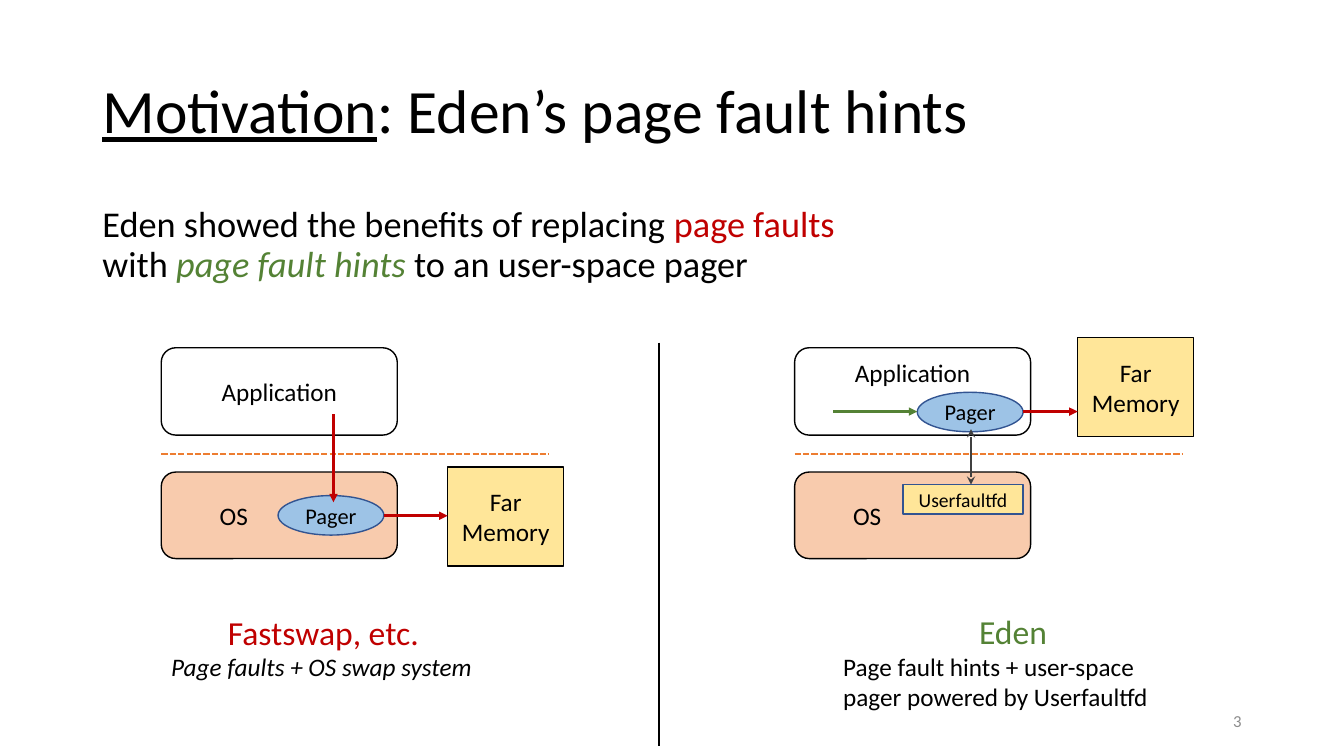
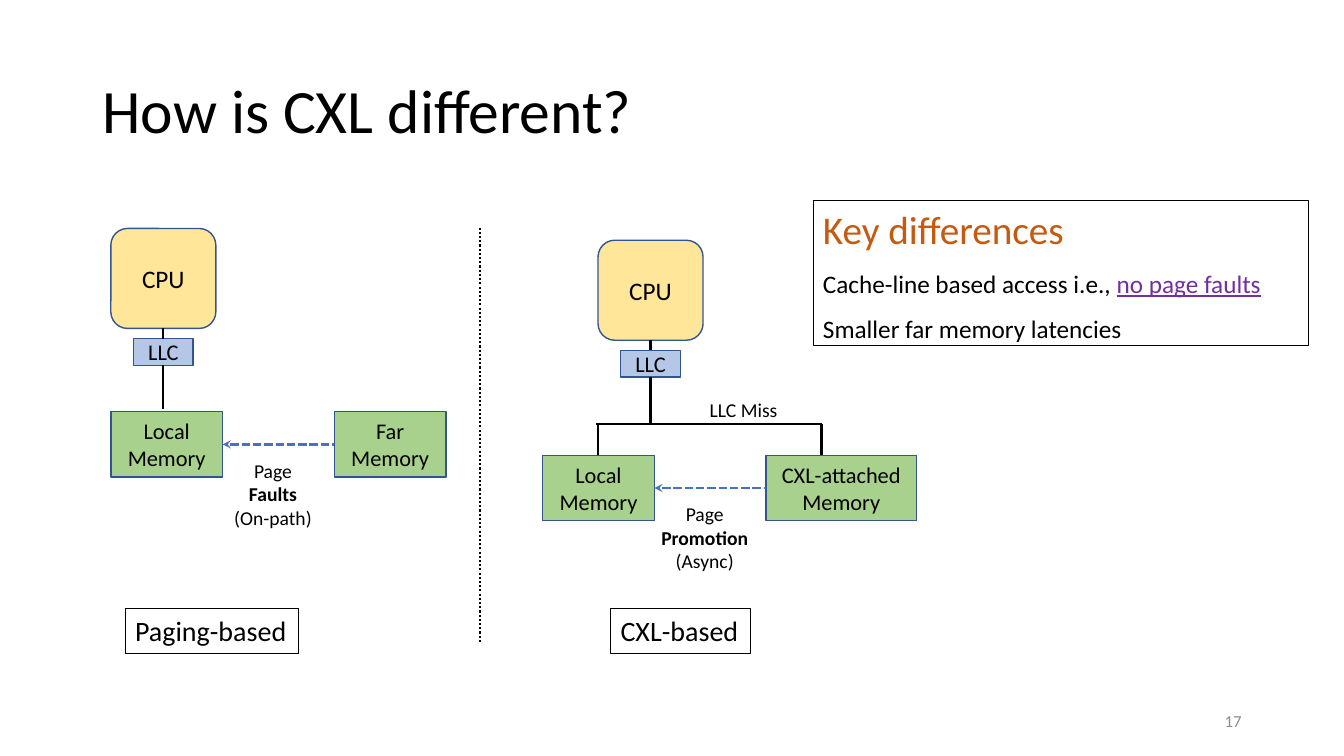
from lxml import etree
from pptx import Presentation
from pptx.dml.color import RGBColor
from pptx.enum.dml import MSO_LINE
from pptx.enum.shapes import MSO_CONNECTOR, MSO_SHAPE
from pptx.enum.text import MSO_ANCHOR, MSO_AUTO_SIZE, PP_ALIGN
from pptx.oxml.ns import qn
from pptx.util import Inches, Pt

RECT, ROUND, OVAL = MSO_SHAPE.RECTANGLE, MSO_SHAPE.ROUNDED_RECTANGLE, MSO_SHAPE.OVAL
LEFT, CENTER, RIGHT = PP_ALIGN.LEFT, PP_ALIGN.CENTER, PP_ALIGN.RIGHT
TOP, MIDDLE = MSO_ANCHOR.TOP, MSO_ANCHOR.MIDDLE
DASH, DOT = MSO_LINE.SQUARE_DOT, MSO_LINE.ROUND_DOT

COLS, ROWS = 160, 90
CELL = Inches(1) / 12
FONT = "Calibri"
COLORS = {
    "black": "000000", "white": "FFFFFF", "gray": "8C8C8C", "dark": "404040",
    "red": "C00000", "green": "548235", "orange": "ED7D31", "rust": "C55A11",
    "purple": "7030A0", "blue": "4472C4", "navy": "325491", "sky": "9DC3E6",
    "peach": "F8CBAD", "yellow": "FFE699", "cache": "B4C7E7", "memory": "A9D18E",
}


def grid(*cells):
    return [round(c * CELL) for c in cells]


def rgb(name):
    return RGBColor.from_string(COLORS[name])


def run(text, size, color="black", style=""):
    return text, size, color, style


def para(*runs, align=LEFT, spacing=None):
    return runs, align, spacing


def write(tf, paras, anchor=TOP, wrap=True):
    tf.word_wrap = wrap
    tf.auto_size = MSO_AUTO_SIZE.NONE
    tf.vertical_anchor = anchor
    for i, (runs, align, spacing) in enumerate(paras):
        p = tf.add_paragraph() if i else tf.paragraphs[0]
        p.alignment = align
        p.space_before = Pt(0)
        if spacing:
            p.line_spacing = spacing
        for text, size, color, style in runs:
            r = p.add_run()
            r.text = text
            f = r.font
            f.name, f.size = FONT, Pt(size)
            f.color.rgb = rgb(color)
            f.bold, f.italic, f.underline = (c in style for c in "biu")


def place(sp, x, y, w, h):
    sp.left, sp.top, sp.width, sp.height = grid(x, y, w, h)


def text_box(s, at, paras, anchor=TOP, wrap=True):
    sp = s.shapes.add_textbox(*grid(*at))
    write(sp.text_frame, paras, anchor, wrap)


def box(s, kind, at, paras, fill=None, line="navy", width=1, anchor=MIDDLE, wrap=True):
    sp = s.shapes.add_shape(kind, *grid(*at))
    sp.shadow.inherit = False
    if fill:
        sp.fill.solid()
        sp.fill.fore_color.rgb = rgb(fill)
    else:
        sp.fill.background()
    sp.line.color.rgb = rgb(line)
    sp.line.width = Pt(width)
    write(sp.text_frame, paras, anchor, wrap)
    return sp


def label_box(s, kind, at, text, size, fill, line="navy", anchor=MIDDLE):
    return box(s, kind, at, [para(run(text, size), align=CENTER)], fill, line, anchor=anchor)


def line(s, x1, y1, x2, y2, color="black", width=1.5, dash=None, head=None, tail=None):
    c = s.shapes.add_connector(MSO_CONNECTOR.STRAIGHT, *grid(x1, y1, x2, y2))
    c.line.color.rgb = rgb(color)
    c.line.width = Pt(width)
    if dash:
        c.line.dash_style = dash
    ln = c.line._get_or_add_ln()
    for tag, end in (("a:headEnd", head), ("a:tailEnd", tail)):
        if end:
            etree.SubElement(ln, qn(tag)).set("type", end)
    etree.SubElement(c._element.spPr, qn("a:effectLst"))


def arrow(s, x1, y1, x2, y2, color):
    line(s, x1, y1, x2, y2, color, 2, tail="triangle")


def base_slide(prs, layout, title, number):
    s = prs.slides.add_slide(prs.slide_layouts[layout])
    place(s.shapes.title, 11, 4.8, 138, 17.4)
    write(s.shapes.title.text_frame, [para(*title, spacing=0.9)], MIDDLE)
    text_box(s, (113, 83.4, 36, 4.8),
             [para(run(number, 12, "gray"), align=RIGHT)], MIDDLE)
    return s


def lead(s, *runs):
    sp = s.placeholders[1]
    place(sp, 11, 24, 90.7, 11.5)
    pPr = sp.text_frame.paragraphs[0]._p.get_or_add_pPr()
    pPr.set("marL", "0")
    pPr.set("indent", "0")
    etree.SubElement(pPr, qn("a:buNone"))
    write(sp.text_frame, [para(*runs, spacing=0.9)])


def host(s, x, app_anchor):
    label_box(s, ROUND, (x, 41.4, 28.1, 10.4), "Application", 18, "white", "black", app_anchor)
    os_box = label_box(s, ROUND, (x, 56.2, 28.1, 10.3), "OS", 18, "peach", "black")
    os_box.text_frame.margin_right = Inches(1)
    line(s, x, 54, x + 46.2, 54, "orange", 1.5, DASH)


def far_memory(s, x, y):
    label_box(s, RECT, (x, y, 13.8, 11.8), "Far Memory", 18, "yellow", "black")


def pager(s, x, y):
    label_box(s, OVAL, (x, y, 12.6, 4.7), "Pager", 16, "sky")


def caption(s, at, name, color, detail, style="", wrap=True):
    text_box(s, at, [para(run(name, 24, color), align=CENTER),
                     para(run(detail, 18, style=style))], wrap=wrap)


def cpu_stack(s, x, y, end):
    mid = x + 6.25
    label_box(s, ROUND, (x, y, 12.5, 11.9), "CPU", 18, "yellow")
    label_box(s, RECT, (mid - 3.55, y + 13.1, 7.1, 3.2), "LLC", 16, "cache")
    line(s, mid, y + 11.9, mid, y + 13.1)
    line(s, mid, y + 16.3, mid, end)


def memory_pair(s, x, y, far, far_w, action, mode):
    near_w, gap, h = 13.3, 13.3, 7.8
    far_x = x + near_w + gap
    label_box(s, RECT, (x, y, near_w, h), "Local Memory", 16, "memory")
    label_box(s, RECT, (far_x, y, far_w, h), far, 16, "memory")
    line(s, x + near_w, y + h / 2, far_x, y + h / 2, "blue", 2, DASH, head="stealth")
    words = (("Page", ""), (action, "b"), (mode, ""))
    text_box(s, (x + 13, y + 5, 12.6, 9.7),
             [para(run(t, 14, style=st), align=CENTER) for t, st in words], wrap=False)


def outlined(s, at, paras, anchor=TOP, wrap=False):
    box(s, RECT, at, paras, line="black", width=0.75, anchor=anchor, wrap=wrap)


def motivation(prs):
    s = base_slide(prs, 1, [run("Motivation", 44, style="u"),
                            run(": Eden’s page fault hints", 44)], "3")
    lead(s, run("Eden showed the benefits of replacing ", 25.9),
         run("page faults ", 25.9, "red"), run("with ", 25.9),
         run("page fault hints ", 25.9, "green", "i"),
         run("to an user-space pager", 25.9))

    host(s, 19.2, MIDDLE)
    far_memory(s, 53.3, 55.6)
    pager(s, 33.1, 59)
    arrow(s, 39.7, 49.3, 39.7, 59.8, "red")
    arrow(s, 45.7, 61.4, 53.3, 61.4, "red")
    caption(s, (19.2, 72.2, 38.6, 9.7), "Fastswap, etc.", "red",
            "Page faults + OS swap system", "i", wrap=False)

    host(s, 94.6, TOP)
    far_memory(s, 128.3, 40.2)
    pager(s, 109.2, 46.7)
    arrow(s, 99.2, 49, 109.2, 49, "green")
    arrow(s, 121.8, 49, 128.3, 49, "red")
    label_box(s, RECT, (107.5, 57.7, 14.3, 3.5), "Userfaultfd", 14, "yellow")
    line(s, 115.6, 51.1, 115.6, 57.7, "dark", 2, head="stealth", tail="stealth")
    caption(s, (99.2, 72.1, 42.8, 13.3), "Eden", "green",
            "Page fault hints + user-space pager powered by Userfaultfd")

    line(s, 78.5, 40.8, 78.5, 88.8, width=1.25)


def cxl(prs):
    s = base_slide(prs, 5, [run("How is CXL different?", 44)], "17")

    cpu_stack(s, 13.2, 27.2, 48.7)
    memory_pair(s, 13.2, 49, "Far Memory", 13.3, "Faults", "(On-path)")

    bus = 50.5
    cpu_stack(s, 71.2, 28.6, bus)
    memory_pair(s, 64.6, 54.2, "CXL-attached Memory", 17.9, "Promotion", "(Async)")
    line(s, 70.9, bus, 97.9, bus)
    for x in (71.2, 97.8):
        line(s, x, bus, x, 54.2)
    text_box(s, (83.3, 46.8, 10.6, 4.1), [para(run("LLC Miss", 14))], wrap=False)

    line(s, 57.1, 27.1, 57.1, 76.4, dash=DOT)
    for x, w, name in ((14.9, 20.6, "Paging-based"), (72.7, 16.6, "CXL-based")):
        outlined(s, (x, 72.5, w, 5.3), [para(run(name, 20))])
    outlined(s, (96.8, 23.9, 59, 17.2), [
        para(run("Key differences", 28, "rust")),
        para(run("Cache-line based access i.e., ", 18),
             run("no page faults", 18, "purple", "u"), spacing=1.5),
        para(run("Smaller far memory latencies", 18), spacing=1.5),
    ], wrap=True)


def main():
    prs = Presentation()
    prs.slide_width, prs.slide_height = grid(COLS, ROWS)
    motivation(prs)
    cxl(prs)
    prs.save("out.pptx")


if __name__ == "__main__":
    main()
